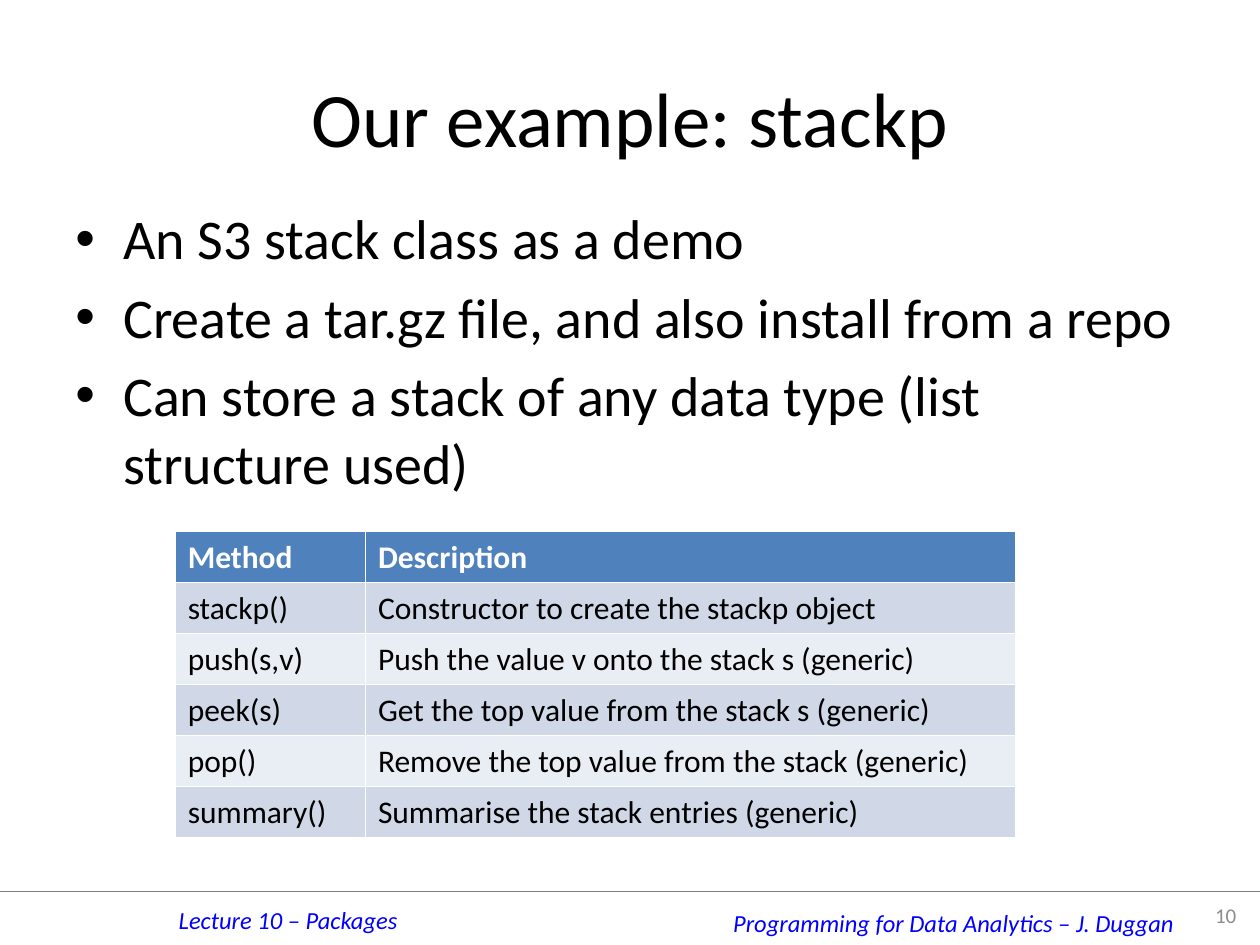
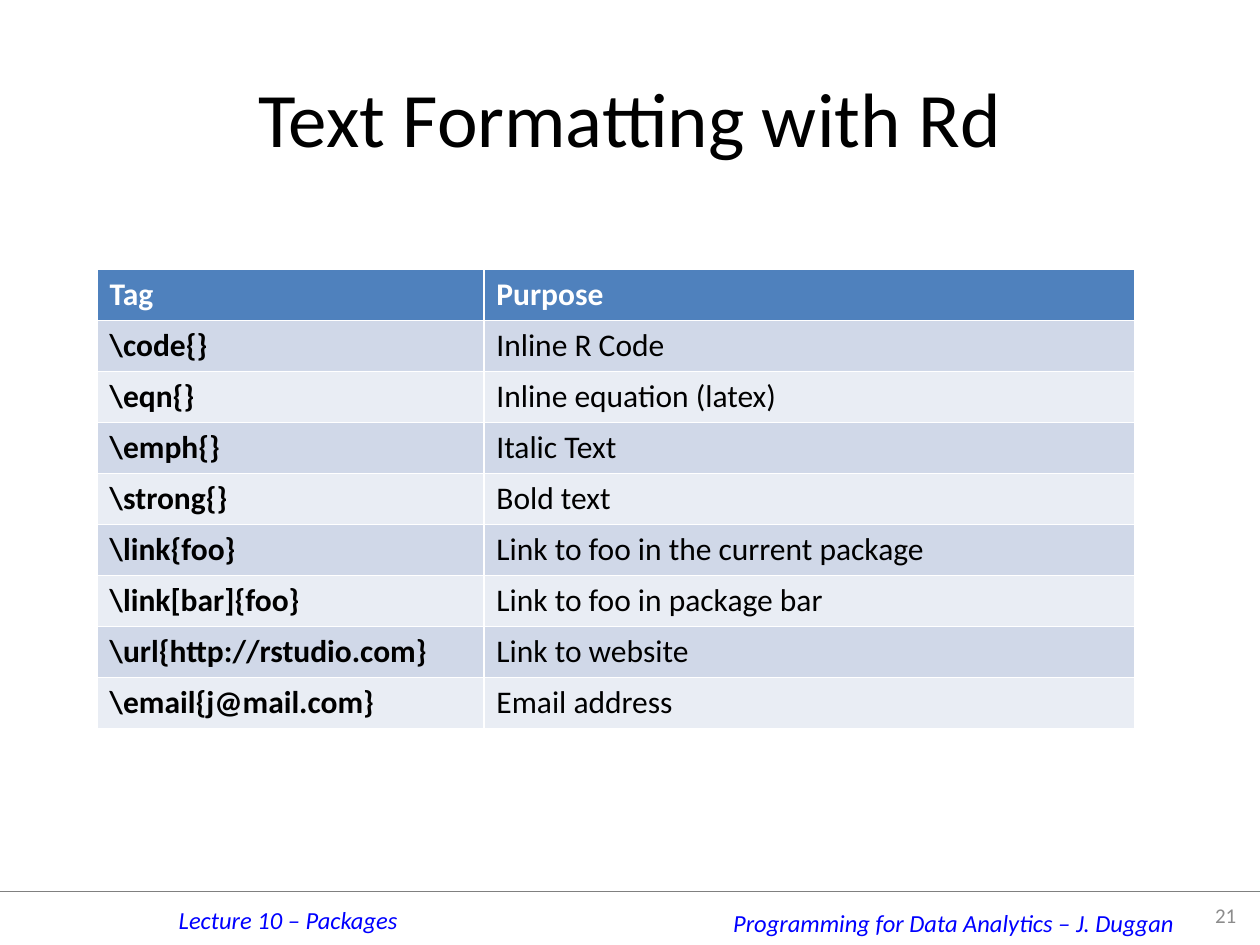
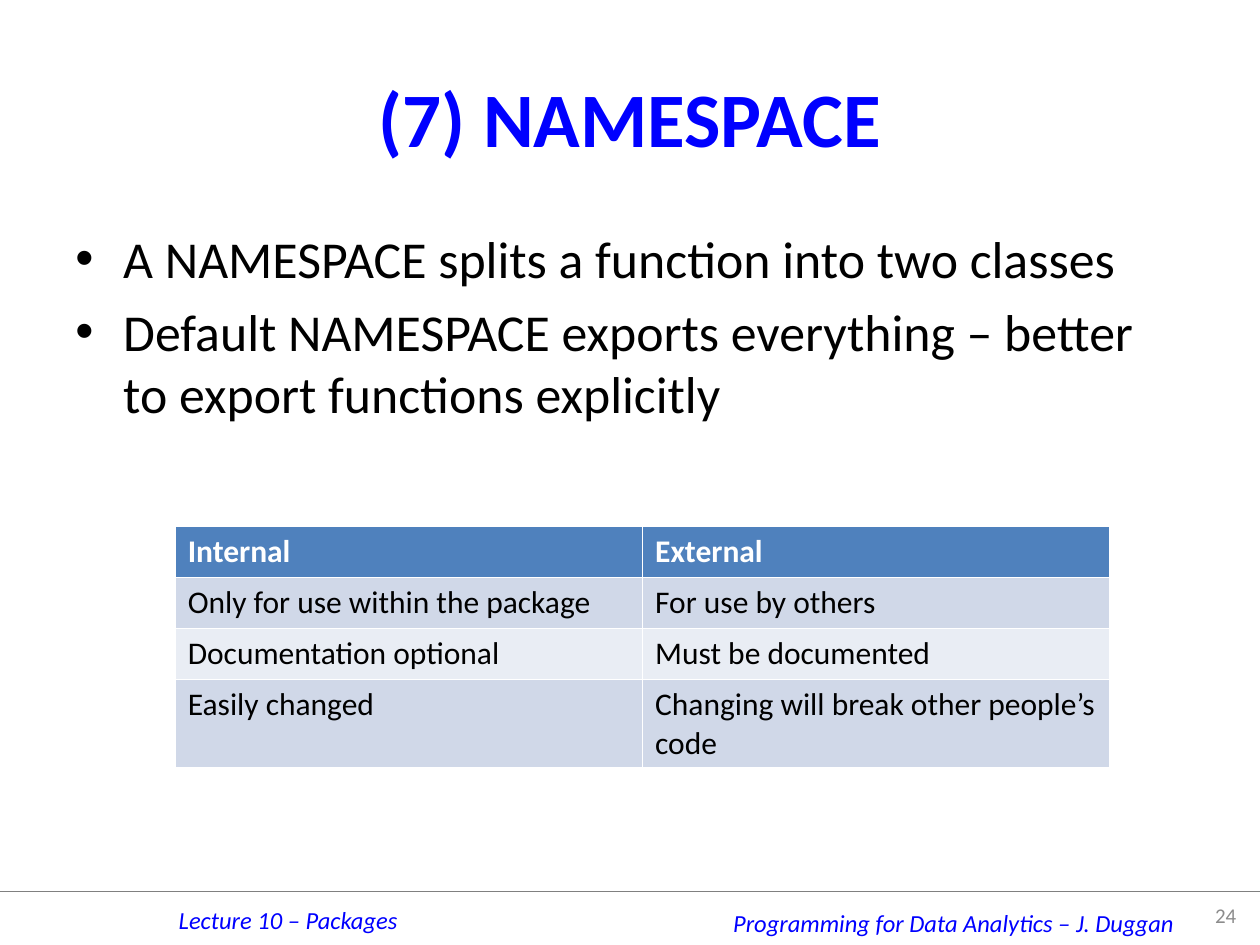
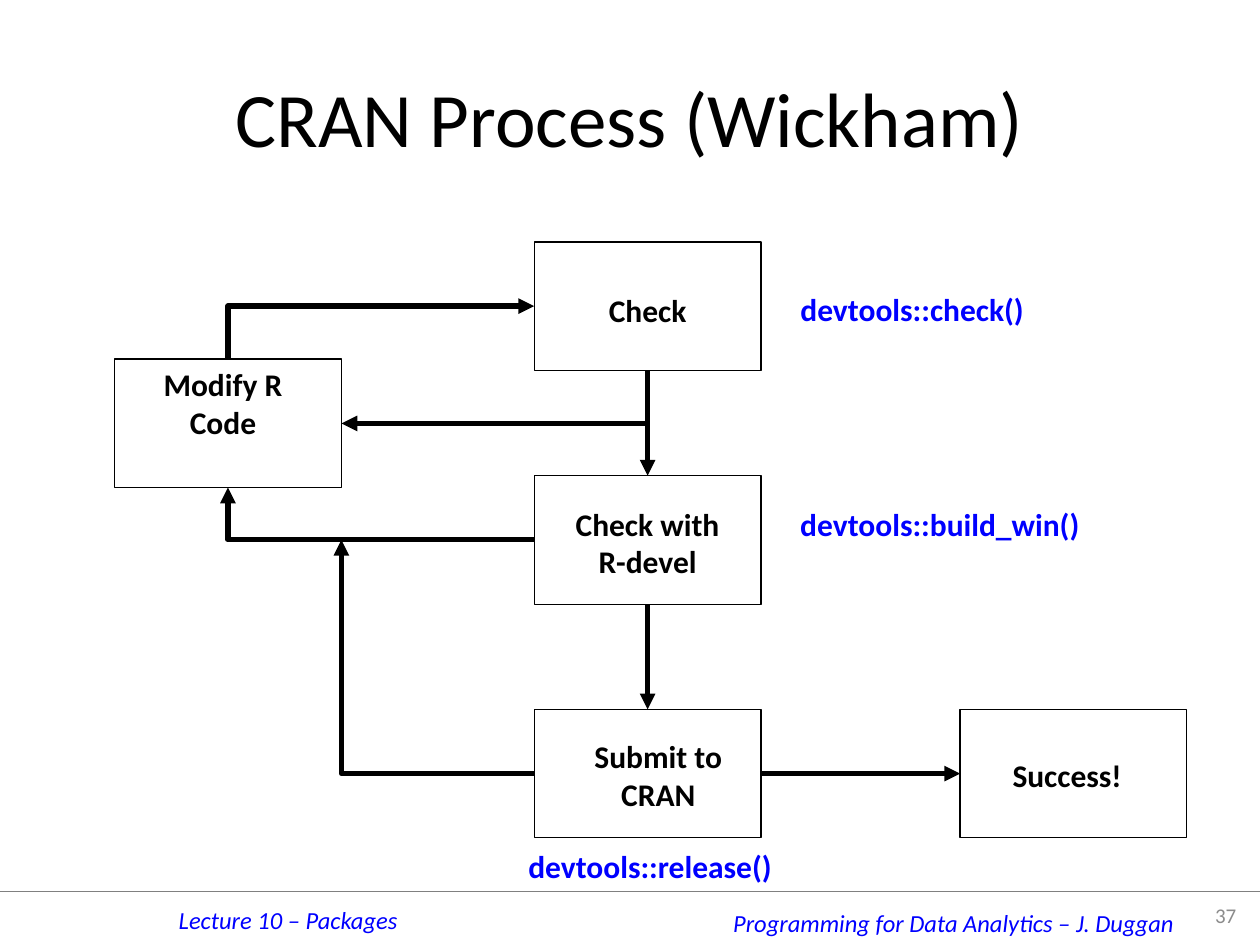
import pptx
import pptx.dml.color
import pptx.enum.shapes
import pptx.enum.text
import pptx.oxml
import pptx.oxml.ns
import pptx.util

Inches, Pt = pptx.util.Inches, pptx.util.Pt
ALIGN = pptx.enum.text.PP_ALIGN
ANCHOR = pptx.enum.text.MSO_ANCHOR
CONNECTOR = pptx.enum.shapes.MSO_CONNECTOR

FONT = "Calibri"
COLORS = {
    "text": "000000",
    "accent": "0000FF",
    "rule": "808080",
    "number": "8C8C8C",
    "header": "4F81BD",
    "header_text": "FFFFFF",
    "band_dark": "D0D8E8",
    "band_light": "E9EDF4",
}
FOOTERS = [
    ("Lecture 10 – Packages", (1.32, 7.13, 2.01, 0.34)),
    ("Programming for Data Analytics – J. Duggan", (5.72, 7.16, 3.78, 0.34)),
]

NODE_WIDTH, NODE_HEIGHT = 1.8, 1.02
CHECK_TOP, STEP = 1.92, 1.855
MAIN_LEFT = 4.24


def rgb(name):
    return pptx.dml.color.RGBColor.from_string(COLORS[name])


def style_runs(paragraph, size, color="text", bold=False, italic=False):
    for run in paragraph.runs:
        font = run.font
        font.name, font.size = FONT, Pt(size)
        font.bold, font.italic = bold, italic
        font.color.rgb = rgb(color)


def add_text(slide, box, text, size, color="text", bold=False, italic=False,
             align=ALIGN.LEFT, anchor=ANCHOR.TOP, wrap=True):
    shape = slide.shapes.add_textbox(*map(Inches, box))
    frame = shape.text_frame
    frame.text = text
    frame.word_wrap = wrap
    frame.vertical_anchor = anchor
    if not wrap:
        frame.auto_size = pptx.enum.text.MSO_AUTO_SIZE.SHAPE_TO_FIT_TEXT
    for paragraph in frame.paragraphs:
        paragraph.alignment = align
        style_runs(paragraph, size, color, bold, italic)
    return frame


def add_line(slide, start, end, color, width, kind=CONNECTOR.STRAIGHT):
    connector = slide.shapes.add_connector(kind, *map(Inches, (*start, *end)))
    connector.line.color.rgb = rgb(color)
    connector.line.width = Pt(width)
    pptx.oxml.ns.qn("a:effectLst")
    connector._element.spPr.append(
        pptx.oxml.parse_xml(f'<a:effectLst {pptx.oxml.ns.nsdecls("a")}/>'))
    return connector


def add_arrow(slide, start, end, kind=CONNECTOR.STRAIGHT):
    connector = add_line(slide, start, end, "text", 3, kind)
    connector.line._get_or_add_ln().append(
        pptx.oxml.parse_xml(f'<a:tailEnd {pptx.oxml.ns.nsdecls("a")} type="triangle"/>'))
    return connector


def add_bent_arrow(slide, start, end, vertical_first=False):
    """Arrow with one corner; a vertical start is a horizontal one turned by 90 degrees."""
    if vertical_first:
        (x1, y1), (x2, y2) = start, end
        center_x, center_y = (x1 + x2) / 2, (y1 + y2) / 2
        half_x, half_y = (y2 - y1) / 2, (x1 - x2) / 2
        start = center_x - half_x, center_y - half_y
        end = center_x + half_x, center_y + half_y
    properties = add_arrow(slide, start, end, CONNECTOR.ELBOW)._element.spPr
    properties.find(pptx.oxml.ns.qn("a:prstGeom")).set("prst", "bentConnector2")
    if vertical_first:
        properties.find(pptx.oxml.ns.qn("a:xfrm")).set("rot", str(90 * 60000))


def add_frame_slide(presentation, title, number, **title_style):
    """Slide with the shared title, rule, footers and page number."""
    slide = presentation.slides.add_slide(presentation.slide_layouts[6])
    add_line(slide, (0, 7.07), (10, 7.07), "rule", 0.25)
    for text, box in FOOTERS:
        add_text(slide, box, text, 14, "accent", italic=True, wrap=False)
    add_text(slide, (0.5, 0.3, 9, 1.25), title, 44, align=ALIGN.CENTER,
             anchor=ANCHOR.MIDDLE, **title_style)
    add_text(slide, (9.5, 7.07, 0.41, 0.39), str(number), 12, "number",
             align=ALIGN.RIGHT, anchor=ANCHOR.MIDDLE)
    return slide


def add_bullets(slide, box, items, size):
    frame = add_text(slide, box, "\n".join(items), size)
    for index, paragraph in enumerate(frame.paragraphs):
        properties = paragraph._p.get_or_add_pPr()
        properties.set("marL", str(Inches(0.38)))
        properties.set("indent", str(-Inches(0.38)))
        if index:
            paragraph.space_before = Pt(size * 0.2)
        for xml in ('<a:buFont {} typeface="Arial"/>', '<a:buChar {} char="•"/>'):
            properties.append(pptx.oxml.parse_xml(xml.format(pptx.oxml.ns.nsdecls("a"))))


def add_banded_table(slide, left, top, widths, rows, bold_first_column=False):
    """Table whose white grid lines come from the default table style."""
    table = slide.shapes.add_table(
        len(rows), len(widths), Inches(left), Inches(top),
        Inches(sum(widths)), Inches(0.405 * len(rows))).table
    for column, width in zip(table.columns, widths):
        column.width = Inches(width)
    for row_index, row in enumerate(rows):
        is_header = row_index == 0
        band = "header" if is_header else ("band_light", "band_dark")[row_index % 2]
        for column_index, text in enumerate(row):
            cell = table.cell(row_index, column_index)
            cell.text = text
            cell.fill.solid()
            cell.fill.fore_color.rgb = rgb(band)
            style_runs(cell.text_frame.paragraphs[0], 18,
                       "header_text" if is_header else "text",
                       bold=is_header or (bold_first_column and column_index == 0))


def add_node(slide, left, top, label, label_box):
    """Process box; label_box is relative to its top left corner."""
    node = slide.shapes.add_shape(
        pptx.enum.shapes.MSO_SHAPE.RECTANGLE,
        *map(Inches, (left, top, NODE_WIDTH, NODE_HEIGHT)))
    node.shadow.inherit = False
    node.fill.background()
    node.line.color.rgb = rgb("text")
    node.line.width = Pt(0.75)
    x, y, width, height = label_box
    add_text(slide, (left + x, top + y, width, height), label, 18, bold=True,
             align=ALIGN.CENTER, wrap=False)
    return node


def add_process(slide):
    check_top, devel_top, submit_top = (CHECK_TOP + STEP * i for i in range(3))
    modify_left, modify_top, success_left = 0.91, 2.85, 7.62
    half_width, half_height = NODE_WIDTH / 2, NODE_HEIGHT / 2

    check = add_node(slide, MAIN_LEFT, check_top, "Check", (0.49, 0.34, 0.82, 0.4))
    devel = add_node(slide, MAIN_LEFT, devel_top, "Check with\nR-devel",
                     (0.22, 0.18, 1.36, 0.71))
    submit = add_node(slide, MAIN_LEFT, submit_top, "Submit to\nCRAN",
                      (0.37, 0.17, 1.23, 0.71))
    success = add_node(slide, success_left, submit_top, "Success!",
                       (0.31, 0.32, 1.08, 0.4))
    add_node(slide, modify_left, modify_top, "Modify R\nCode", (0.28, 0, 1.16, 0.71))

    for command, box in [
        ("devtools::check()", (6.24, 2.25, 2, 0.4)),
        ("devtools::build_win()", (6.24, 3.96, 2.44, 0.4)),
        ("devtools::release()", (4.08, 6.67, 2.16, 0.4)),
    ]:
        add_text(slide, box, command, 18, "accent", bold=True,
                 align=ALIGN.CENTER, wrap=False)

    bottom_site, top_site, right_site, left_site = 2, 0, 3, 1
    for source, source_site, target, target_site in [
        (check, bottom_site, devel, top_site),
        (devel, bottom_site, submit, top_site),
        (submit, right_site, success, left_site),
    ]:
        arrow = add_arrow(slide, (0, 0), (1, 1))
        arrow.begin_connect(source, source_site)
        arrow.end_connect(target, target_site)

    modify_center, modify_right = modify_left + half_width, modify_left + NODE_WIDTH
    devel_middle = devel_top + half_height
    add_bent_arrow(slide, (modify_center, modify_top),
                   (MAIN_LEFT, check_top + half_height), vertical_first=True)
    add_bent_arrow(slide, (MAIN_LEFT + half_width, check_top + NODE_HEIGHT),
                   (modify_right, modify_top + half_height), vertical_first=True)
    add_bent_arrow(slide, (MAIN_LEFT, devel_middle),
                   (modify_center, modify_top + NODE_HEIGHT))
    add_bent_arrow(slide, (MAIN_LEFT, submit_top + half_height),
                   (modify_right, devel_middle))


def build_stack_slide(presentation):
    slide = add_frame_slide(presentation, "Our example: stackp", 10)
    add_bullets(slide, (0.5, 1.57, 9, 2.46), [
        "An S3 stack class as a demo",
        "Create a tar.gz file, and also install from a repo",
        "Can store a stack of any data type (list structure used)",
    ], 32)
    add_banded_table(slide, 1.39, 4.22, (1.51, 5.16), [
        ("Method", "Description"),
        ("stackp()", "Constructor to create the stackp object"),
        ("push(s,v)", "Push the value v onto the stack s (generic)"),
        ("peek(s)", "Get the top value from the stack s (generic)"),
        ("pop()", "Remove the top value from the stack (generic)"),
        ("summary()", "Summarise the stack entries (generic)"),
    ])


def build_formatting_slide(presentation):
    slide = add_frame_slide(presentation, "Text Formatting with Rd", 21)
    add_banded_table(slide, 0.77, 2.14, (3.07, 5.17), [
        ("Tag", "Purpose"),
        (r"\code{}", "Inline R Code"),
        (r"\eqn{}", "Inline equation (latex)"),
        (r"\emph{}", "Italic Text"),
        (r"\strong{}", "Bold text"),
        (r"\link{foo}", "Link to foo in the current package"),
        (r"\link[bar]{foo}", "Link to foo in package bar"),
        (r"\url{http://rstudio.com}", "Link to website"),
        (r"\email{j@mail.com}", "Email address"),
    ], bold_first_column=True)


def build_namespace_slide(presentation):
    slide = add_frame_slide(presentation, "(7) NAMESPACE", 24, color="accent", bold=True)
    add_bullets(slide, (0.5, 1.75, 9, 2.12), [
        "A NAMESPACE splits a function into two classes",
        "Default NAMESPACE exports everything – better to export functions explicitly",
    ], 29.6)
    add_banded_table(slide, 1.39, 4.18, (3.71, 3.71), [
        ("Internal", "External"),
        ("Only for use within the package", "For use by others"),
        ("Documentation optional", "Must be documented"),
        ("Easily changed", "Changing will break other people’s code"),
    ])


def build_process_slide(presentation):
    add_process(add_frame_slide(presentation, "CRAN Process (Wickham)", 37))


def main():
    presentation = pptx.Presentation()
    presentation.slide_width, presentation.slide_height = Inches(10), Inches(7.5)
    build_stack_slide(presentation)
    build_formatting_slide(presentation)
    build_namespace_slide(presentation)
    build_process_slide(presentation)
    presentation.save("out.pptx")


if __name__ == "__main__":
    main()
